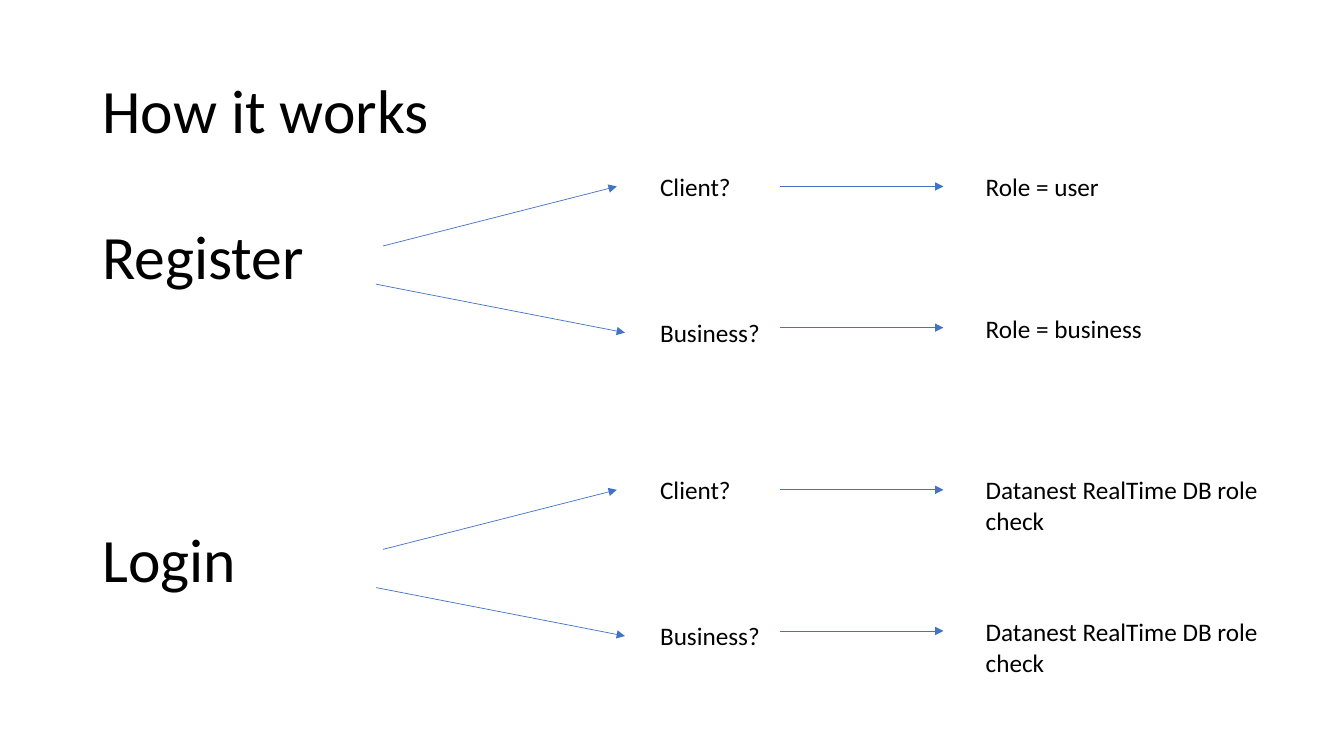
from dataclasses import dataclass

from lxml import etree
from pptx import Presentation
from pptx.dml.color import RGBColor
from pptx.enum.shapes import MSO_CONNECTOR
from pptx.enum.text import MSO_ANCHOR, MSO_AUTO_SIZE, PP_ALIGN
from pptx.oxml.ns import qn
from pptx.shapes.base import BaseShape
from pptx.slide import Slide
from pptx.util import Pt

STRAIGHT = MSO_CONNECTOR.STRAIGHT
LEFT = PP_ALIGN.LEFT
TOP, MIDDLE = MSO_ANCHOR.TOP, MSO_ANCHOR.MIDDLE
NO_FIT, GROW = MSO_AUTO_SIZE.NONE, MSO_AUTO_SIZE.SHAPE_TO_FIT_TEXT
FONT, BLACK, BLUE = "Calibri", "000000", "4472C4"
MARGIN, HEAD_H = 66, 104.4
ROLE_X, CHECK_X = 464.4, 697


@dataclass
class Branch:
    """One fork of a flow; heights are measured from the flow's top."""
    role: str
    start: tuple[float, float]
    end: tuple[float, float]
    role_y: float
    link_y: float
    check_y: float


@dataclass
class Flow:
    name: str
    top: float
    checks: tuple[str, str]
    width: float
    height: float


BRANCHES = (
    Branch("Client?", (273.6, 42.5), (440.6, 0), -14.4, 0, -14.4),
    Branch("Business?", (268.6, 69.8), (446.4, 104.4), 90, 100.8, 87.1),
)
FLOWS = (
    Flow("Register", 133.2, ("Role = user", "Role = business"), 159.1, 28.8),
    Flow("Login", 349.9, ("Datanest RealTime DB role check",) * 2, 241.9, 51.1),
)


def color(code: str) -> RGBColor:
    return RGBColor.from_string(code)


def place(shape: BaseShape, x: float, y: float, w: float, h: float) -> None:
    shape.left, shape.top = Pt(x), Pt(y)
    shape.width, shape.height = Pt(w), Pt(h)


def write(shape: BaseShape, text: str, head: bool = False) -> None:
    frame = shape.text_frame
    frame.text = text
    frame.word_wrap = True
    frame.auto_size = NO_FIT if head else GROW
    frame.vertical_anchor = MIDDLE if head else TOP
    para = frame.paragraphs[0]
    para.alignment = LEFT
    para.line_spacing = 0.9 if head else 1.0
    font = para.runs[0].font
    font.name, font.size = FONT, Pt(44 if head else 18)
    font.color.rgb = color(BLACK)


def add_text(slide: Slide, text: str, x: float, y: float, w: float, h: float,
             head: bool = False) -> None:
    box = slide.shapes.add_textbox(Pt(x), Pt(y), Pt(w), Pt(h))
    write(box, text, head)
    place(box, x, y, w, h)


def add_arrow(slide: Slide, x1: float, y1: float, x2: float, y2: float) -> None:
    arrow = slide.shapes.add_connector(STRAIGHT, Pt(x1), Pt(y1), Pt(x2), Pt(y2))
    arrow.line.color.rgb = color(BLUE)
    arrow.line.width = Pt(0.5)
    tip = etree.SubElement(arrow.line._get_or_add_ln(), qn("a:tailEnd"))
    tip.set("type", "triangle")
    etree.SubElement(arrow._element.spPr, qn("a:effectLst"))


def add_flow(slide: Slide, flow: Flow) -> None:
    top = flow.top
    add_text(slide, flow.name, MARGIN, top, 170, HEAD_H, head=True)
    for fork, check in zip(BRANCHES, flow.checks):
        (x1, y1), (x2, y2) = fork.start, fork.end
        add_arrow(slide, x1, top + y1, x2, top + y2)
        add_text(slide, fork.role, ROLE_X, top + fork.role_y, 159.1, 28.8)
        add_arrow(slide, 557.3, top + fork.link_y, 673.9, top + fork.link_y)
        add_text(slide, check, CHECK_X, top + fork.check_y,
                 flow.width, flow.height)


def main() -> None:
    deck = Presentation()
    deck.slide_width, deck.slide_height = Pt(960), Pt(540)
    slide = deck.slides.add_slide(deck.slide_layouts[5])

    # Title
    title = slide.shapes.title
    place(title, MARGIN, 28.8, 828, HEAD_H)
    write(title, "How it works", head=True)

    # Register and login flows
    for flow in FLOWS:
        add_flow(slide, flow)

    deck.save("out.pptx")


if __name__ == "__main__":
    main()
